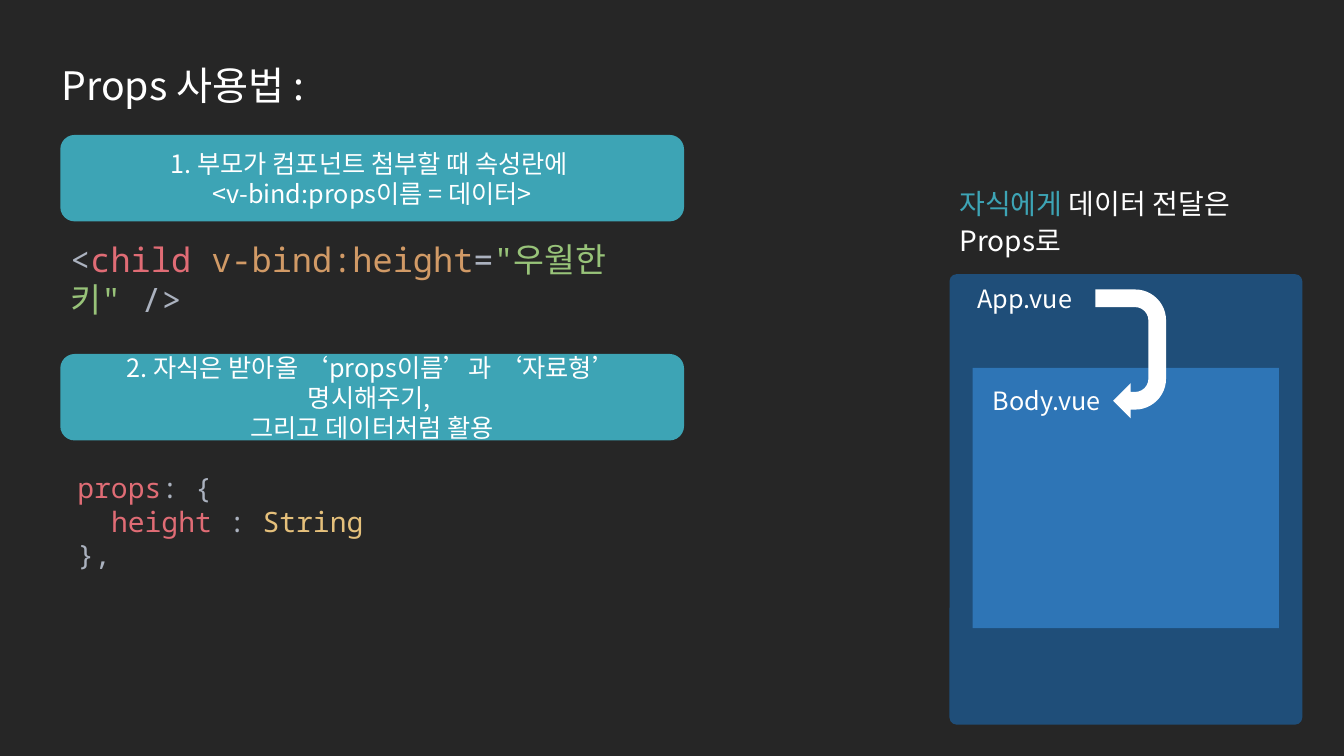
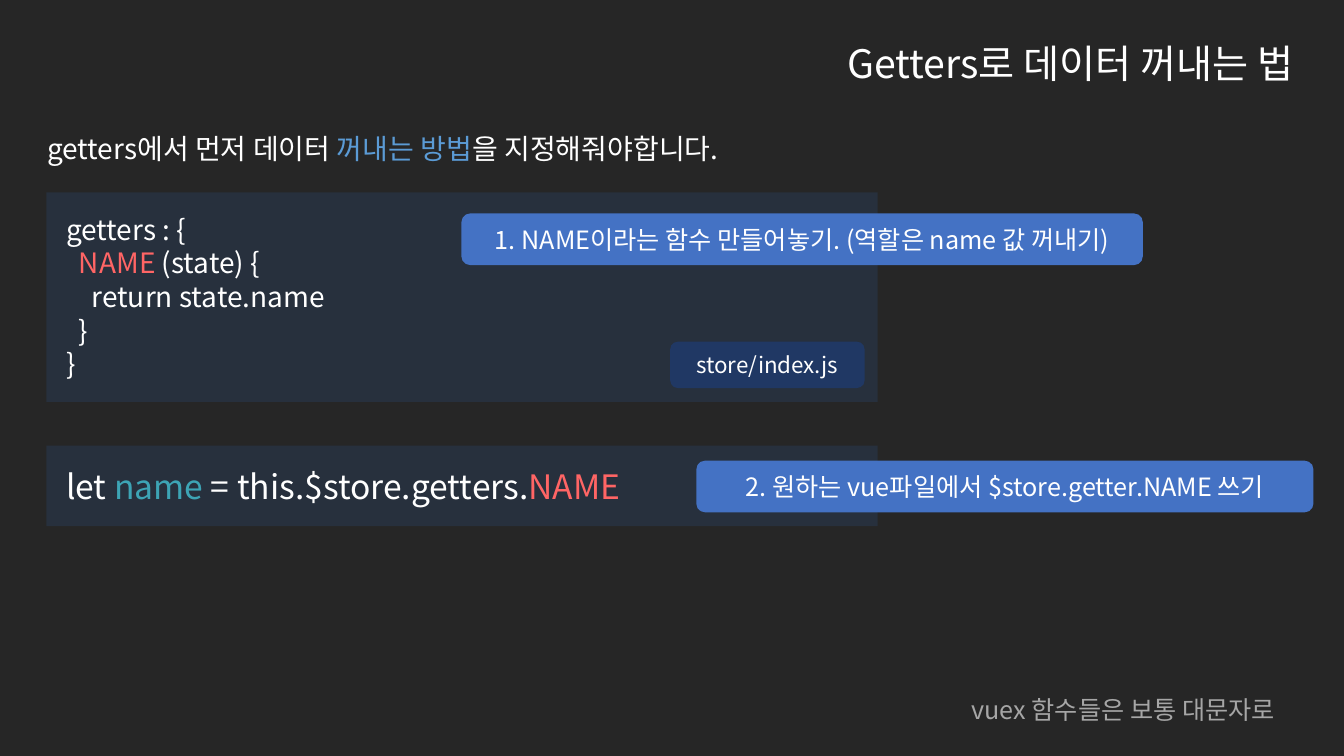
from pptx import Presentation
from pptx import util as u
from pptx.dml.color import RGBColor
from pptx.enum import shapes as es, text as et
from pptx.oxml import parse_xml
from pptx.oxml.ns import nsdecls

DARK = RGBColor(0x26, 0x26, 0x26)
WHITE = RGBColor(0xFF, 0xFF, 0xFF)
GRAY = RGBColor(0xA6, 0xA6, 0xA6)
TEAL = RGBColor(0x3D, 0xA4, 0xB5)
NAVY = RGBColor(0x1F, 0x4E, 0x79)
BLUE = RGBColor(0x2E, 0x75, 0xB6)
SKY = RGBColor(0x5B, 0x9B, 0xD5)
ROYAL = RGBColor(0x44, 0x72, 0xC4)
INK = RGBColor(0x20, 0x38, 0x64)
SLATE = RGBColor(0x27, 0x30, 0x3D)
CORAL = RGBColor(0xFF, 0x65, 0x65)
SILVER = RGBColor(0xAB, 0xB2, 0xBF)
ROSE = RGBColor(0xE0, 0x6C, 0x75)
ORANGE = RGBColor(0xD1, 0x9A, 0x66)
GREEN = RGBColor(0x98, 0xC3, 0x79)
YELLOW = RGBColor(0xE5, 0xC0, 0x7B)

SANS = "Noto Sans CJK KR"
MONO = "Noto Sans Mono"
KIND = es.MSO_SHAPE
LEFT, MID, RIGHT = et.PP_ALIGN.LEFT, et.PP_ALIGN.CENTER, et.PP_ALIGN.RIGHT
TOP, CENTRE = et.MSO_ANCHOR.TOP, et.MSO_ANCHOR.MIDDLE
SIDES = ("margin_left", "margin_top", "margin_right", "margin_bottom")
FRAME = {"word_wrap": True, "auto_size": et.MSO_AUTO_SIZE.NONE}


def apply(item, style):
    for key, value in style.items():
        setattr(item, key, value)


def place(at):
    return [u.Cm(n) for n in at]


def write(frame, lines, size, font=SANS, align=LEFT, anchor=TOP, lead=1.0, steps=()):
    apply(frame, {**FRAME, "vertical_anchor": anchor})
    for i, line in enumerate(lines):
        para = frame.paragraphs[0] if i == 0 else frame.add_paragraph()
        apply(para, {"alignment": align, "line_spacing": lead})
        if i < len(steps):
            para._p.get_or_add_pPr().set("marL", str(u.Cm(steps[i])))
        for words, color in line:
            run = para.add_run()
            run.text = words
            apply(run.font, {"size": u.Pt(size), "name": font})
            run.font.color.rgb = color
            run._r.get_or_add_rPr().append(
                parse_xml(f'<a:ea {nsdecls("a")} typeface="{SANS}"/>'))


def add_title(slide, at, words, align=LEFT):
    title = slide.shapes.title
    apply(title, dict(zip(("left", "top", "width", "height"), place(at))))
    write(title.text_frame, [[(words, WHITE)]], 28, align=align, lead=1.1)


def add_text(slide, at, lines, size, **style):
    box = slide.shapes.add_textbox(*place(at))
    write(box.text_frame, lines, size, **style)


def add_form(slide, kind, at, color, round=None):
    form = slide.shapes.add_shape(kind, *place(at))
    form.shadow.inherit = False
    form.fill.solid()
    form.fill.fore_color.rgb = color
    form.line.fill.background()
    if round is not None:
        form.adjustments[0] = round
    return form


def add_badge(slide, at, color, lines, size=18):
    badge = add_form(slide, KIND.ROUNDED_RECTANGLE, at, color)
    write(badge.text_frame, [[(line, WHITE)] for line in lines], size,
          align=MID, anchor=CENTRE)


def add_code(slide, at, lines, size, steps=()):
    panel = add_form(slide, KIND.RECTANGLE, at, SLATE)
    apply(panel.text_frame, dict.fromkeys(SIDES, u.Cm(0.5)))
    write(panel.text_frame, lines, size, steps=steps)


def draw_nest(slide):
    add_form(slide, KIND.ROUNDED_RECTANGLE, (23.93, 6.91, 8.89, 11.35), NAVY, 0.02)
    add_form(slide, KIND.RECTANGLE, (24.51, 9.27, 7.72, 6.56), BLUE)
    add_text(slide, (24.57, 9.58, 3.63, 1.02), [[("Body.vue", WHITE)]], 18, align=MID)
    add_text(slide, (24.38, 7.01, 4, 1.02), [[("App.vue", WHITE)]], 18)
    arrow = add_form(slide, KIND.U_TURN_ARROW, (26.87, 8.03, 3.25, 1.78), WHITE)
    arrow.rotation = 90


def draw_props(slide):
    add_title(slide, (1.3, 1.3, 22.1, 1.5), "Props 사용법 :")
    draw_nest(slide)
    add_text(slide, (23.93, 4.5, 9.58, 2.13),
             [[("자식에게", TEAL), (" 데이터 전달은", WHITE)], [("Props로", WHITE)]],
             20, lead=1.1)
    steps = (
        ("1. 부모가 컴포넌트 첨부할 때 속성란에 ", "<v-bind:props이름 = 데이터>"),
        ("2. 자식은 받아올 ‘props이름’과 ‘자료형’ 명시해주기, ", "그리고 데이터처럼 활용"),
    )
    for i, lines in enumerate(steps):
        add_badge(slide, (1.52, 3.4 + i * 5.52, 15.72, 2.18), TEAL, lines)
    add_text(slide, (1.52, 5.89, 16.2, 2.2),
             [[("<", SILVER), ("child ", ROSE), ("v-bind:height", ORANGE),
               ("=", SILVER), ('"우월한키"', GREEN), (" />", SILVER)]],
             24, font=MONO)
    add_text(slide, (1.7, 11.73, 16.94, 2.82),
             [[("props", ROSE), (": {", SILVER)],
              [("height ", ROSE), (": ", SILVER), ("String", YELLOW)],
              [("},", SILVER)]],
             20, font=MONO, steps=(0, 0.85))


def draw_getters(slide):
    add_title(slide, (11.63, 0.74, 21.21, 1.57), "Getters로 데이터 꺼내는 법", RIGHT)
    add_text(slide, (0.94, 3.2, 18.8, 1.12),
             [[("getters에서 먼저 데이터 ", WHITE), ("꺼내는 방법", SKY),
               ("을 지정해줘야합니다.", WHITE)]], 20)
    add_code(slide, (1.17, 4.85, 20.95, 5.28),
             [[("getters : {", WHITE)],
              [("NAME", CORAL), (" (state) {", WHITE)],
              [("return state.name", WHITE)],
              [("}", WHITE)],
              [("}", WHITE)]],
             20, (0, 0.32, 0.64, 0.32))
    add_code(slide, (1.17, 11.23, 20.95, 2.03),
             [[("let", WHITE), (" name ", TEAL),
               ("= this.$store.getters.", WHITE), ("NAME", CORAL)]], 24)
    add_text(slide, (24.23, 17.37, 8.23, 1.6),
             [[("vuex 함수들은 보통 대문자로", GRAY)]], 18)
    add_badge(slide, (11.63, 5.38, 17.17, 1.3), ROYAL,
              ["1. NAME이라는 함수 만들어놓기. (역할은 name 값 꺼내기)"])
    add_badge(slide, (17.55, 11.61, 15.55, 1.3), ROYAL,
              ["2. 원하는 vue파일에서 $store.getter.NAME 쓰기"])
    add_badge(slide, (16.89, 8.61, 4.9, 1.17), INK, ["store/index.js"], 16)


def main():
    deck = Presentation()
    apply(deck, {"slide_width": u.Cm(33.87), "slide_height": u.Cm(19.05)})
    back = deck.slide_master.background.fill
    back.solid()
    back.fore_color.rgb = DARK
    for draw in (draw_props, draw_getters):
        draw(deck.slides.add_slide(deck.slide_layouts[5]))
    deck.save("out.pptx")


if __name__ == "__main__":
    main()
